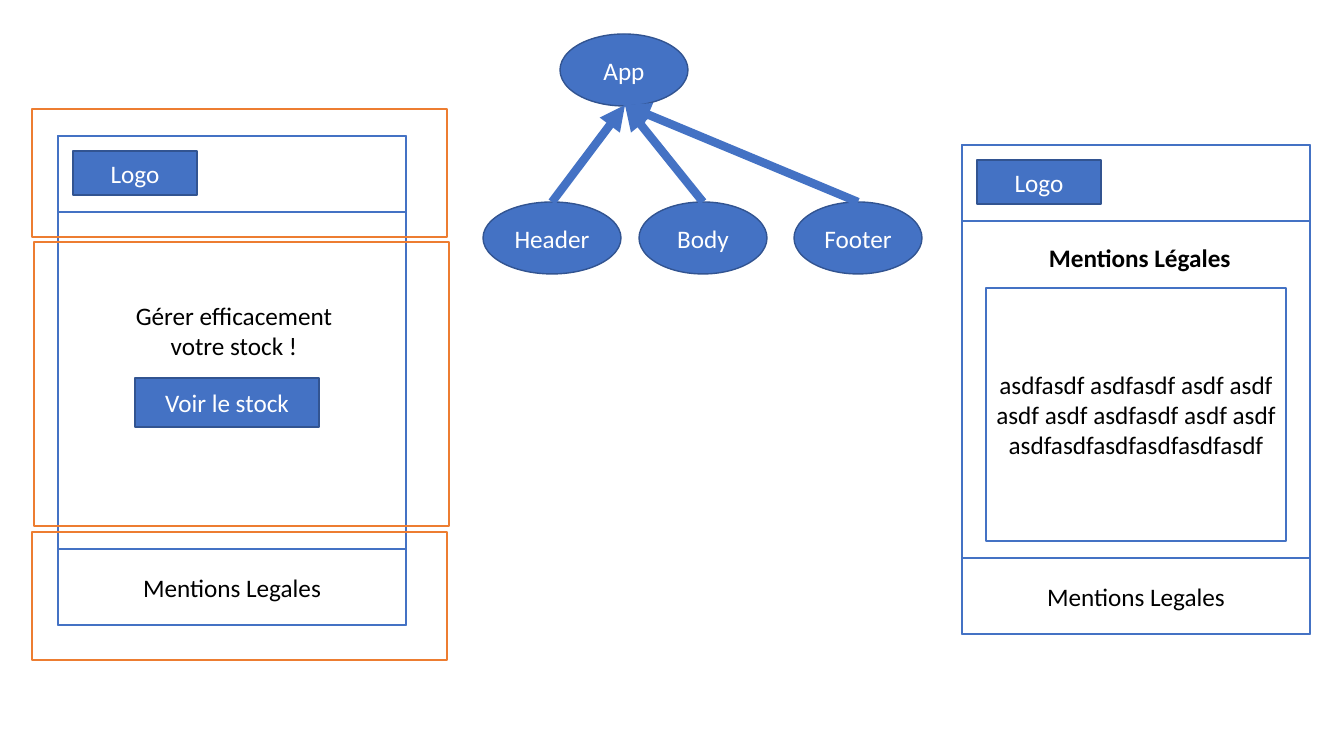
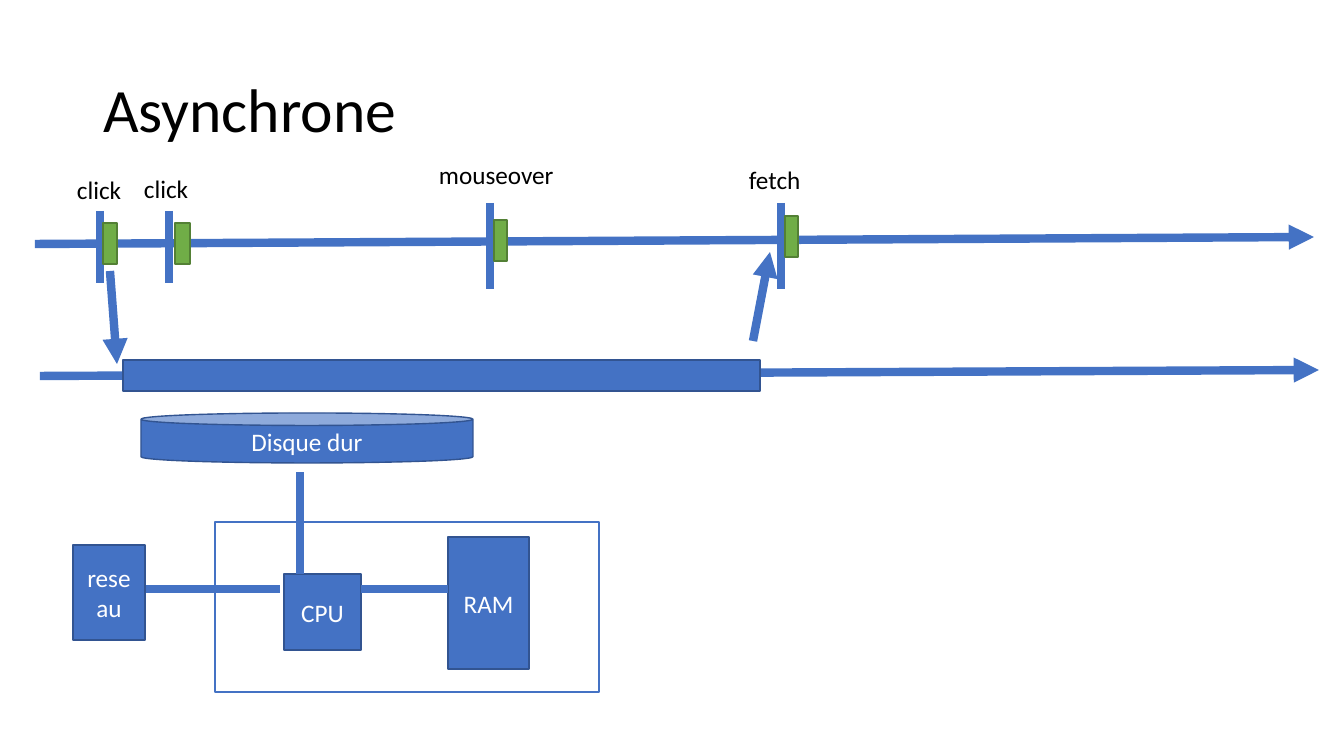
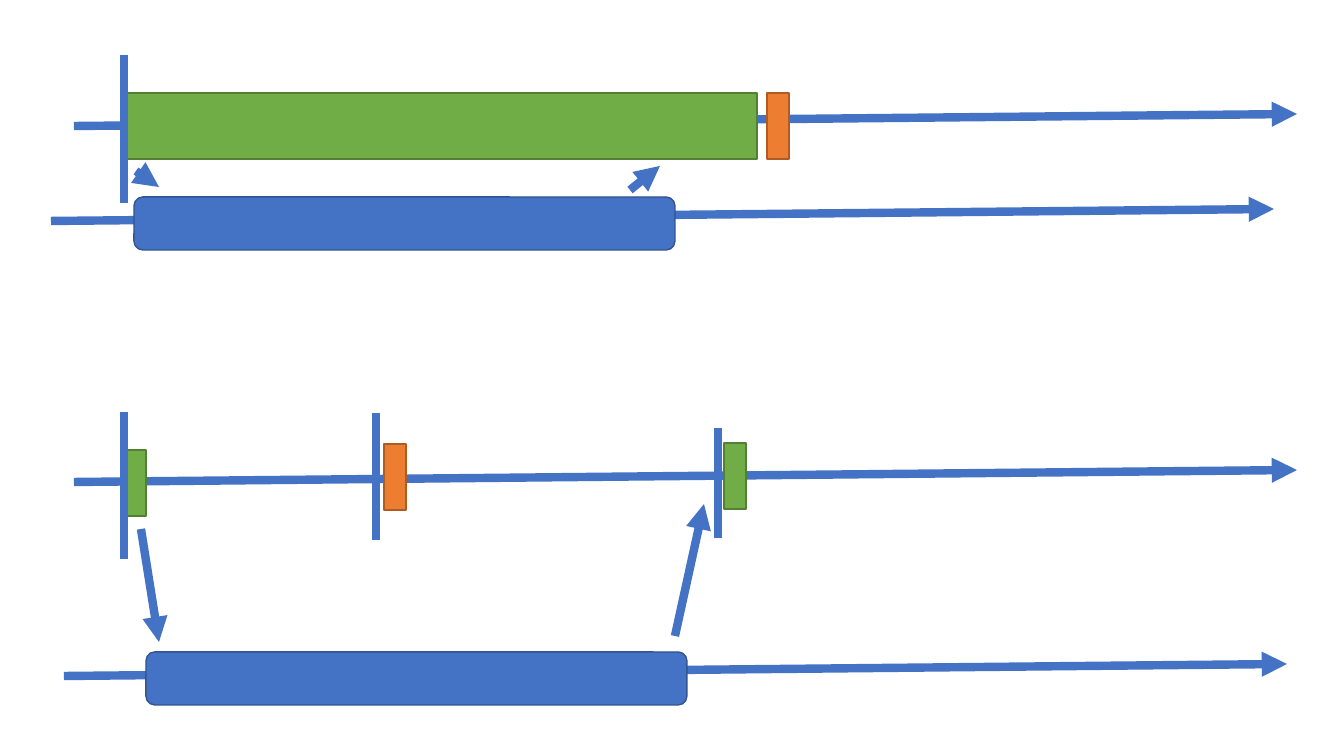
from dataclasses import dataclass

from lxml.etree import SubElement
from pptx import Presentation
from pptx.dml.color import RGBColor
from pptx.enum.shapes import MSO_CONNECTOR, MSO_SHAPE
from pptx.enum.text import MSO_ANCHOR, MSO_AUTO_SIZE, PP_ALIGN
from pptx.oxml.ns import qn
from pptx.util import Emu, Pt

SCALE = 914400 / 100.8


@dataclass(frozen=True)
class Theme:
    """Colours, type and line sizes used on every slide."""
    font: str = "Calibri"
    body: int = 18
    title: int = 44
    thin: int = 1
    thick: int = 6
    black: str = "000000"
    white: str = "FFFFFF"
    blue: str = "4472C4"
    navy: str = "325491"
    green: str = "70AD47"
    moss: str = "538035"
    orange: str = "ED7D31"
    rust: str = "AF5C24"


THEME = Theme()
# Each look is a fill, an outline and a text colour.
SOLID = (THEME.blue, THEME.navy, THEME.white)
PANEL = (THEME.white, THEME.blue, THEME.black)
ZONE = (None, THEME.orange, THEME.black)
TASK = (THEME.green, THEME.moss, THEME.white)
ALERT = (THEME.orange, THEME.rust, THEME.white)


def px(*sizes):
    """Turn pixels into EMU."""
    return [Emu(round(size * SCALE)) for size in sizes]


def rgb(code):
    """Turn a hex code into a colour."""
    return RGBColor.from_string(code)


def write(frame, text, color=THEME.black, size=THEME.body, bold=False,
          align=PP_ALIGN.LEFT, **layout):
    """Put one formatted paragraph into a text frame."""
    for key, value in layout.items():
        setattr(frame, key, value)
    par = frame.paragraphs[0]
    par.alignment = align
    run = par.add_run()
    run.text = text
    style = {"name": THEME.font, "size": Pt(size), "bold": bold}
    for key, value in style.items():
        setattr(run.font, key, value)
    run.font.color.rgb = rgb(color)
    return par


def block(slide, area, look=SOLID, text="", kind=MSO_SHAPE.RECTANGLE):
    """Draw a shape with a look and optional centred text."""
    fill, edge, ink = look
    shape = slide.shapes.add_shape(kind, *px(*area))
    shape.shadow.inherit = False
    if fill:
        shape.fill.solid()
        shape.fill.fore_color.rgb = rgb(fill)
    else:
        shape.fill.background()
    shape.line.color.rgb = rgb(edge)
    shape.line.width = Pt(THEME.thin)
    if text:
        write(shape.text_frame, text, ink, align=PP_ALIGN.CENTER,
              vertical_anchor=MSO_ANCHOR.MIDDLE, word_wrap=True)


def label(slide, area, text, wrap=False, **style):
    """Add a plain text box."""
    box = slide.shapes.add_textbox(*px(*area))
    write(box.text_frame, text, word_wrap=wrap,
          auto_size=MSO_AUTO_SIZE.SHAPE_TO_FIT_TEXT, **style)


def line(slide, start, end, arrow=False):
    """Draw a thick line, with an arrowhead at its end if asked."""
    link = slide.shapes.add_connector(MSO_CONNECTOR.STRAIGHT,
                                      *px(*start, *end))
    link.line.color.rgb = rgb(THEME.blue)
    link.line.width = Pt(THEME.thick)
    if arrow:
        SubElement(link.line._ln, qn("a:tailEnd"), type="triangle")
    SubElement(link._element.spPr, qn("a:effectLst"))


def axis(slide, x, y, run=1223, rise=12):
    """Draw a time axis that climbs slightly to the right."""
    line(slide, (x, y), (x + run, y - rise), arrow=True)


def tick(slide, x, top, end):
    """Mark a moment on a time axis."""
    line(slide, (x, top), (x, end))


def page(slide, x, y):
    """Draw a page frame with its header, logo slot and footer."""
    wide, band = 348, 76
    block(slide, (x, y, wide, 489), PANEL)
    block(slide, (x, y, wide, band), PANEL)
    block(slide, (x, y + 413, wide, band), PANEL, "Mentions Legales")
    block(slide, (x + 15, y + 15, 124, 44), SOLID, "Logo")


def pages(slide):
    """Show two pages and the tree of their parts."""
    page(slide, 58, 136)
    label(slide, (111, 295, 246, 72), "Gérer efficacement votre stock !",
          wrap=True, align=PP_ALIGN.CENTER)
    block(slide, (135, 378, 184, 49), SOLID, "Voir le stock")

    page(slide, 962, 145)
    label(slide, (1039, 237, 204, 40), "Mentions Légales", bold=True)
    block(slide, (986, 288, 300, 253), PANEL,
          "asdfasdf asdfasdf asdf asdf asdf asdf asdfasdf asdf asdf "
          "asdfasdfasdfasdfasdfasdf")

    for x, y, high in ((32, 109, 128), (32, 532, 128), (34, 242, 284)):
        block(slide, (x, y, 415, high), ZONE)

    block(slide, (560, 34, 128, 72), SOLID, "App", MSO_SHAPE.OVAL)
    parts = (("Header", 483, 138), ("Body", 639, 128), ("Footer", 794, 128))
    for name, x, wide in parts:
        block(slide, (x, 202, wide, 72), SOLID, name, MSO_SHAPE.OVAL)
    for _, x, wide in parts:
        line(slide, (x + wide / 2, 202), (625, 105), arrow=True)


def events(slide):
    """Show events on a time axis above the parts of a machine."""
    title = slide.shapes.title
    spots = zip(("left", "top", "width", "height"), px(93, 40, 604, 146))
    for key, value in spots:
        setattr(title, key, value)
    par = write(title.text_frame, "Asynchrone", size=THEME.title,
                vertical_anchor=MSO_ANCHOR.MIDDLE, word_wrap=True,
                auto_size=MSO_AUTO_SIZE.NONE)
    par.line_spacing = 0.9

    axis(slide, 35, 244, 1279, 7)
    marks = (
        ("click", (67, 169, 66, 40), (100, 211, 283), (103, 223, 14, 41)),
        ("click", (134, 168, 66, 40), (169, 211, 283), (175, 223, 15, 41)),
        ("mouseover", (429, 154, 136, 40), (490, 203, 289),
         (494, 220, 13, 41)),
        ("fetch", (739, 159, 73, 40), (781, 203, 289), (785, 216, 13, 41)),
    )
    for name, area, mark, task in marks:
        tick(slide, *mark)
        label(slide, area, name)
        block(slide, task, TASK)

    axis(slide, 40, 376, 1279, 6)
    line(slide, (110, 271), (117, 364), arrow=True)
    block(slide, (123, 360, 637, 31))
    line(slide, (753, 341), (770, 252), arrow=True)

    block(slide, (215, 522, 384, 170), PANEL)
    block(slide, (284, 574, 77, 76), SOLID, "CPU")
    block(slide, (448, 537, 81, 132), SOLID, "RAM")
    block(slide, (141, 413, 332, 50), SOLID, "Disque dur", MSO_SHAPE.CAN)
    line(slide, (361, 589), (448, 589))
    line(slide, (300, 574), (300, 472))
    line(slide, (280, 589), (141, 589))
    block(slide, (73, 545, 72, 95), SOLID, "reseau")


def lanes(slide):
    """Compare a task that blocks its axis with one that does not."""
    for x, y in ((74, 126), (51, 221), (74, 482), (64, 676)):
        axis(slide, x, y)
    for x, y, wide, look in (
            (124, 93, 633, TASK), (767, 93, 22, ALERT),
            (124, 450, 22, TASK), (384, 444, 22, ALERT),
            (724, 443, 22, TASK)):
        block(slide, (x, y, wide, 66), look)
    for x, y in ((134, 197), (146, 652)):
        block(slide, (x, y, 541, 53), kind=MSO_SHAPE.ROUNDED_RECTANGLE)
    for mark in ((124, 55, 203), (124, 412, 559), (376, 413, 540),
                 (718, 428, 538)):
        tick(slide, *mark)
    for start, end in (
            ((136, 171), (159, 187)), ((630, 190), (660, 166)),
            ((141, 529), (159, 642)), ((675, 636), (704, 504))):
        line(slide, start, end, arrow=True)


def main():
    """Build the slides and save them."""
    deck = Presentation()
    deck.slide_width, deck.slide_height = px(1344, 756)
    titled, blank = deck.slide_layouts[5], deck.slide_layouts[6]
    for layout, draw in ((blank, pages), (titled, events), (blank, lanes)):
        draw(deck.slides.add_slide(layout))
    deck.save("out.pptx")


main()
